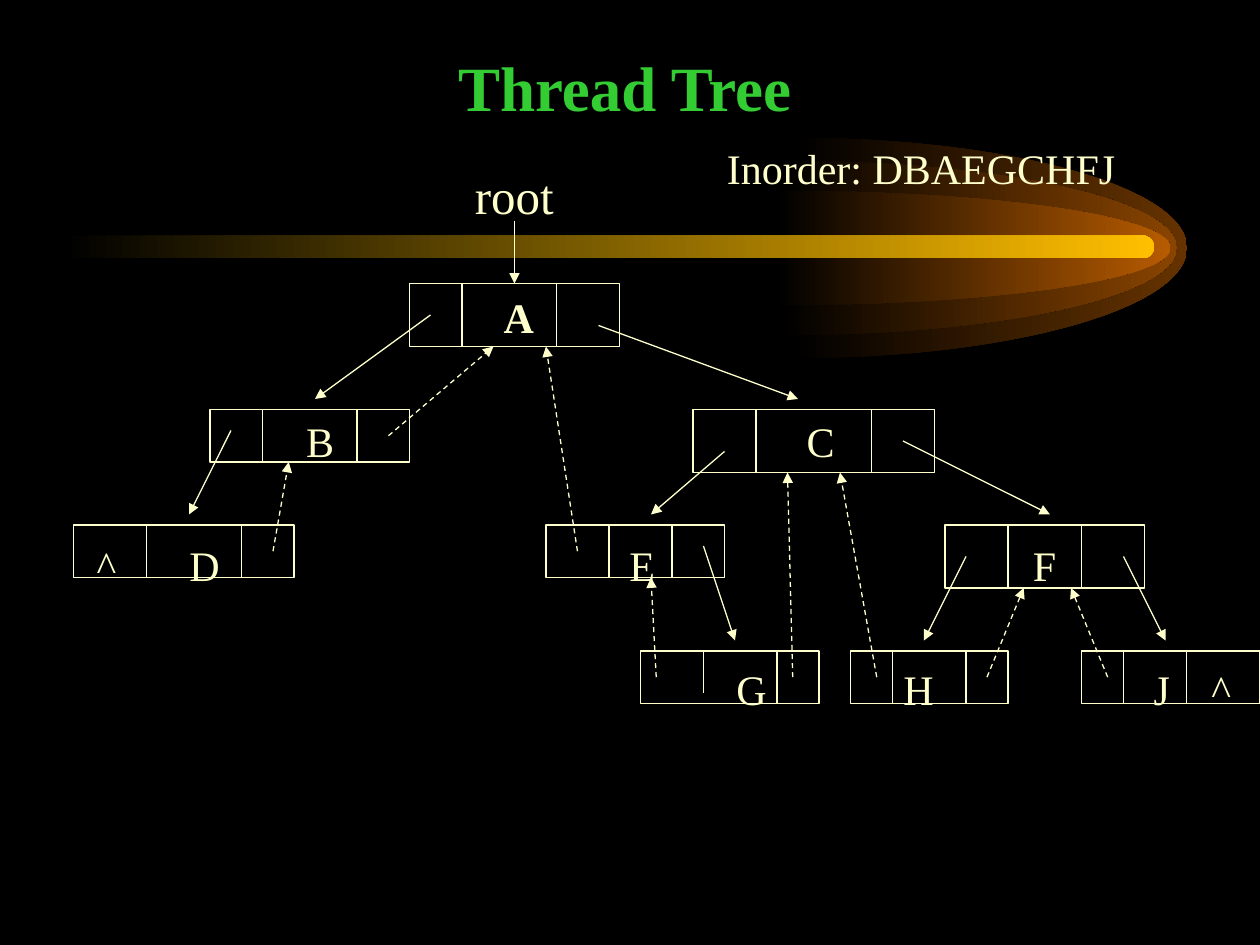
from lxml.etree import SubElement
from pptx import Presentation
from pptx.dml.color import RGBColor
from pptx.enum.dml import MSO_LINE
from pptx.enum.shapes import MSO_CONNECTOR, MSO_SHAPE
from pptx.enum.text import MSO_ANCHOR, PP_ALIGN
from pptx.oxml.ns import qn
from pptx.util import Pt

COLORS = {
    "background": "000000",
    "title": "33CC33",
    "ink": "FFFFCC",
    "outer glow": "663300",
    "middle glow": "894400",
    "inner glow": "B75B00",
    "beam": "FFBF00",
}
FONT = "Times New Roman"
SIDE_INSET = 7.2

deck = Presentation()
deck.slide_width, deck.slide_height = Pt(720), Pt(540)
page = deck.slides.add_slide(deck.slide_layouts[6])
page.background.fill.solid()
page.background.fill.fore_color.rgb = RGBColor.from_string(COLORS["background"])


def add_text(text, left, top, width, height, size=24, color="ink", bold_lines=(),
             align=PP_ALIGN.LEFT, anchor=MSO_ANCHOR.BOTTOM, top_inset=3.6,
             gap=0, centers=()):
    """Add one paragraph per line; centers lists the tab centres of each line."""
    box = page.shapes.add_textbox(Pt(left), Pt(top), Pt(width), Pt(height))
    frame = box.text_frame
    frame.word_wrap = True
    frame.vertical_anchor = anchor
    frame.margin_left = frame.margin_right = Pt(SIDE_INSET)
    frame.margin_top, frame.margin_bottom = Pt(top_inset), Pt(3.6)
    for index, line in enumerate(text.split("\n")):
        para = frame.add_paragraph() if index else frame.paragraphs[0]
        para.alignment = align
        if index and gap:
            para.space_before = Pt(gap)
        span = para.add_run()
        span.text = line
        span.font.name, span.font.size = FONT, Pt(size)
        span.font.bold = index in bold_lines
        span.font.color.rgb = RGBColor.from_string(COLORS[color])
        if centers:
            tabs = SubElement(para._p.get_or_add_pPr(), qn("a:tabLst"))
            for center in centers[index]:
                SubElement(tabs, qn("a:tab"), algn="ctr",
                           pos=str(int(Pt(center - left - SIDE_INSET))))


def add_line(start, end, arrow=False, dashed=False):
    line = page.shapes.add_connector(
        MSO_CONNECTOR.STRAIGHT, *(Pt(value) for value in (*start, *end)))
    line.line.color.rgb = RGBColor.from_string(COLORS["ink"])
    line.line.width = Pt(0.75)
    if dashed:
        line.line.dash_style = MSO_LINE.DASH
    properties = line.element.spPr
    if arrow:
        SubElement(properties.find(qn("a:ln")), qn("a:tailEnd"), type="triangle")
    SubElement(properties, qn("a:effectLst"))
    return line


# Comet: three half ellipses and a beam, each fading in from the background
comet = []
axis, reach, bend = 141.7, 225.4, 0.55
for left, radius in ((452.9, 63), (447.1, 50), (443.5, 32.8)):
    curve = [(0, -1), (bend, -1), (1, -bend), (1, 0), (1, bend), (bend, 1), (0, 1)]
    points = [(Pt(left + reach * x), Pt(axis + radius * y)) for x, y in curve]
    outline = page.shapes.build_freeform(*points[0])
    outline.add_line_segments(points[1:], close=True)
    glow = outline.convert_to_shape()
    # Each three straight segments become one Bezier curve
    segments = list(glow.element.iter(qn("a:lnTo")))
    for first in (0, 3):
        trio = segments[first:first + 3]
        trio[0].tag = qn("a:cubicBezTo")
        for segment in trio[1:]:
            trio[0].append(segment[0])
            segment.getparent().remove(segment)
    comet.append(glow)
beam = page.shapes.add_shape(
    MSO_SHAPE.ROUNDED_RECTANGLE, Pt(36), Pt(134.6), Pt(623.5), Pt(13))
beam.adjustments[0] = 0.5
comet.append(beam)
for shape, color in zip(comet, ("outer glow", "middle glow", "inner glow", "beam")):
    shape.shadow.inherit = False
    shape.line.fill.background()
    shape.fill.gradient()
    shape.fill.gradient_angle = 0
    for stop, name in zip(shape.fill.gradient_stops, ("background", color)):
        stop.color.rgb = RGBColor.from_string(COLORS[name])

# Node labels, one line per tree level
add_text("\tA\n\tB\tC\n\t^\tD\tE\tF\n\tG\tH\tJ\t^", 18, 24, 702, 492,
         bold_lines=(0,), anchor=MSO_ANCHOR.TOP, top_inset=142.5, gap=42.1,
         centers=[(296.5,), (183, 469), (61, 117, 367, 597), (429.5, 525, 664, 698)])

# Traversal order and title
add_text("Inorder: DBAEGCHFJ", 408.3, 78, 294, 36)
add_text("Thread Tree", 66, 24, 582, 50.4, size=36, color="title", bold_lines=(0,),
         align=PP_ALIGN.CENTER)

# Node boxes: left, top, width, height, dividers
NODES = [
    (234, 162, 120, 36, (264, 318)),
    (120, 234, 114, 30, (150, 204)),
    (396, 234, 138, 36, (432, 498)),
    (42, 300, 126, 30, (83.6, 138)),
    (312, 300, 102, 30, (348, 384)),
    (540, 300, 114, 36, (576, 618)),
    (366, 372, 102, 30, (402, 444)),
    (486, 372, 90, 30, (510, 552)),
    (618, 372, 102, 30, (642, 678)),
]
SHORT_DIVIDER = 402, 372

boxes = []
for left, top, width, height, dividers in NODES:
    box = page.shapes.add_shape(
        MSO_SHAPE.RECTANGLE, Pt(left), Pt(top), Pt(width), Pt(height))
    box.shadow.inherit = False
    box.fill.background()
    box.line.color.rgb = RGBColor.from_string(COLORS["ink"])
    box.line.width = Pt(0.75)
    boxes.append(box)

# Threads back to inorder neighbours
for start, end in [
    ((222, 249), (282, 198)), ((156, 315), (165, 264)),
    ((330, 315), (312, 198)), ((375, 387), (372, 330)),
    ((453, 387), (450, 270)), ((501, 387), (480, 270)),
    ((564, 387), (585, 336)), ((633, 387), (612, 336)),
]:
    add_line(start, end, arrow=True, dashed=True)

# Dividers between the link and data fields
for left, top, width, height, dividers in NODES:
    for x in dividers:
        length = 24 if (x, top) == SHORT_DIVIDER else height
        add_line((x, top), (x, top + length))

# Root pointer
root_pointer = add_line((294, 126), (294, 162), arrow=True)
root_pointer.end_connect(boxes[0], 0)

# Child links
for start, end in [
    ((246, 180), (180, 228)), ((132, 246), (108, 294)),
    ((342, 186), (456, 228)), ((414, 258), (372, 294)),
    ((516, 252), (600, 294)), ((402, 312), (420, 366)),
    ((552, 318), (528, 366)), ((642, 318), (666, 366)),
]:
    add_line(start, end, arrow=True)

# Root label
add_text("root", 264.3, 91.2, 78, 40.6, size=28)

deck.save("out.pptx")
